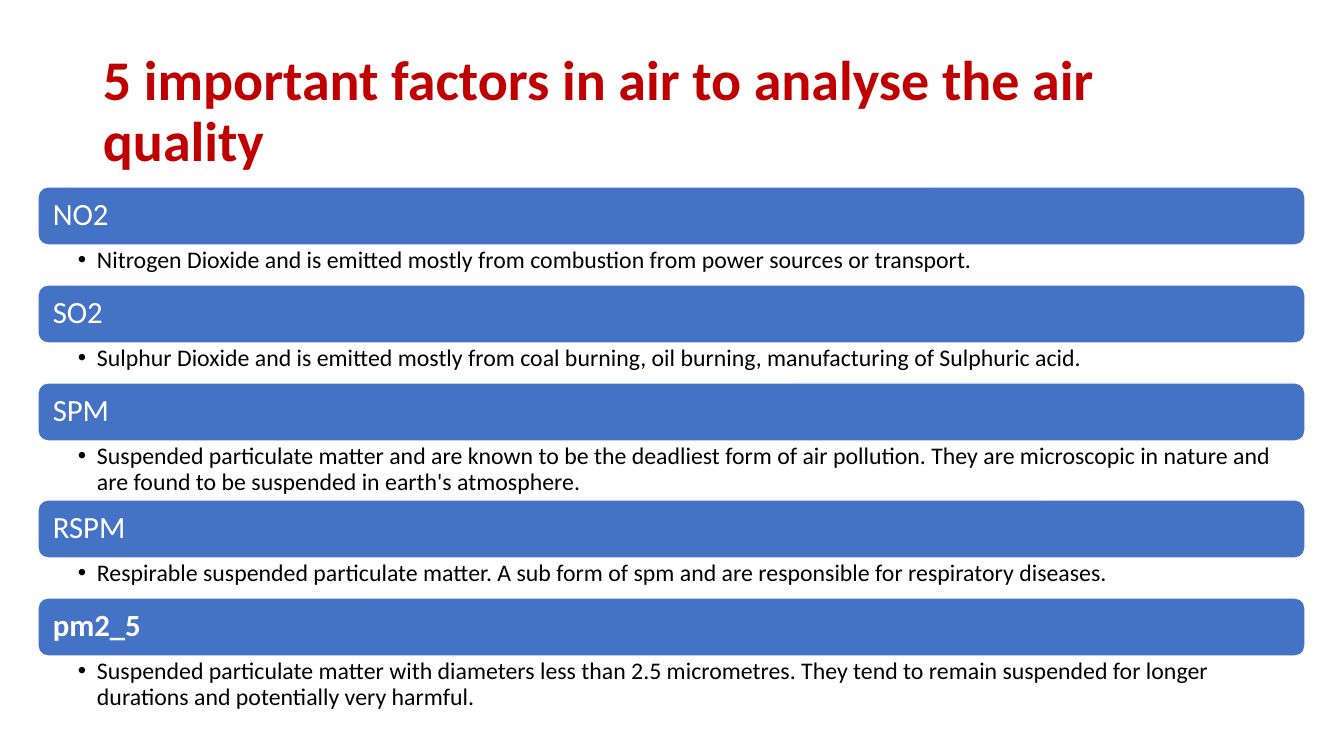
"""Build the slide on five factors for analysing air quality."""
from lxml import etree
from pptx import Presentation, util as u
from pptx.dml.color import RGBColor
from pptx.enum import shapes, text
from pptx.oxml import ns

SCALE = 914400 / 100.8
RED = RGBColor(0xC0, 0x00, 0x00)
BLUE = RGBColor(0x44, 0x72, 0xC4)
WHITE = RGBColor(0xFF, 0xFF, 0xFF)
BLACK = RGBColor(0x00, 0x00, 0x00)


def px(length):
    return u.Emu(round(length * SCALE))


class Page:
    font = "Calibri"

    def __init__(self, slide):
        self.slide = slide

    def set_text(self, shape, words, size, color, bold, insets, anchor):
        frame = shape.text_frame
        left, top, right, bottom = map(px, insets)
        layout = {"word_wrap": True, "vertical_anchor": anchor, "margin_left": left,
                  "margin_top": top, "margin_right": right, "margin_bottom": bottom}
        for key, value in layout.items():
            setattr(frame, key, value)
        paragraph = frame.paragraphs[0]
        paragraph.alignment = text.PP_ALIGN.LEFT
        paragraph.line_spacing = 0.9
        run = paragraph.add_run()
        run.text = words
        for key, value in {"name": self.font, "size": u.Pt(size), "bold": bold}.items():
            setattr(run.font, key, value)
        run.font.color.rgb = color
        return paragraph

    def title(self, box, words):
        shape = self.slide.shapes.add_textbox(*map(px, box))
        self.set_text(shape, words, 40, RED, True, (10, 5, 10, 5), text.MSO_ANCHOR.MIDDLE)

    def bar(self, box, words, bold):
        shape = self.slide.shapes.add_shape(
            shapes.MSO_SHAPE.ROUNDED_RECTANGLE, *map(px, box))
        shape.shadow.inherit = False
        shape.fill.solid()
        shape.fill.fore_color.rgb = BLUE
        shape.line.color.rgb = WHITE
        shape.line.width = u.Pt(1)
        self.set_text(shape, words, 22, WHITE, bold, (12, 9, 12, 9),
                      text.MSO_ANCHOR.MIDDLE)

    def bullet(self, box, words):
        shape = self.slide.shapes.add_textbox(*map(px, box))
        paragraph = self.set_text(shape, words, 17, BLACK, False, (40, 3, 17, 3),
                                  text.MSO_ANCHOR.TOP)
        properties = paragraph._p.get_or_add_pPr()
        for key, value in {"marL": px(19), "indent": px(-19)}.items():
            properties.set(key, str(value))
        etree.SubElement(properties, ns.qn("a:buFont"), typeface="Arial")
        etree.SubElement(properties, ns.qn("a:buChar"), char="•")


LEFT, TOP, WIDTH, BAR_HEIGHT = 38, 187, 1267, 58
ONE_LINE, TWO_LINES = 40, 59
FACTORS = [
    ("NO2", False, ONE_LINE,
     "Nitrogen Dioxide and is emitted mostly from combustion from power sources "
     "or transport."),
    ("SO2", False, ONE_LINE,
     "Sulphur Dioxide and is emitted mostly from coal burning, oil burning, "
     "manufacturing of Sulphuric acid."),
    ("SPM", False, TWO_LINES,
     "Suspended particulate matter and are known to be the deadliest form of air "
     "pollution. They are microscopic in nature and are found to be suspended in "
     "earth's atmosphere."),
    ("RSPM", False, ONE_LINE,
     "Respirable suspended particulate matter. A sub form of spm and are "
     "responsible for respiratory diseases."),
    ("pm2_5", True, TWO_LINES,
     "Suspended particulate matter with diameters less than 2.5 micrometres. They "
     "tend to remain suspended for longer durations and potentially very harmful."),
]

deck = Presentation()
deck.slide_width, deck.slide_height = px(1344), px(756)
page = Page(deck.slides.add_slide(deck.slide_layouts[6]))
page.title((93, 40, 1159, 146), "5 important factors in air to analyse the air quality")

top = TOP
for factor, bold, note_height, description in FACTORS:
    page.bar((LEFT, top, WIDTH, BAR_HEIGHT), factor, bold)
    page.bullet((LEFT, top + BAR_HEIGHT, WIDTH, note_height), description)
    top += BAR_HEIGHT + note_height

deck.save("out.pptx")
